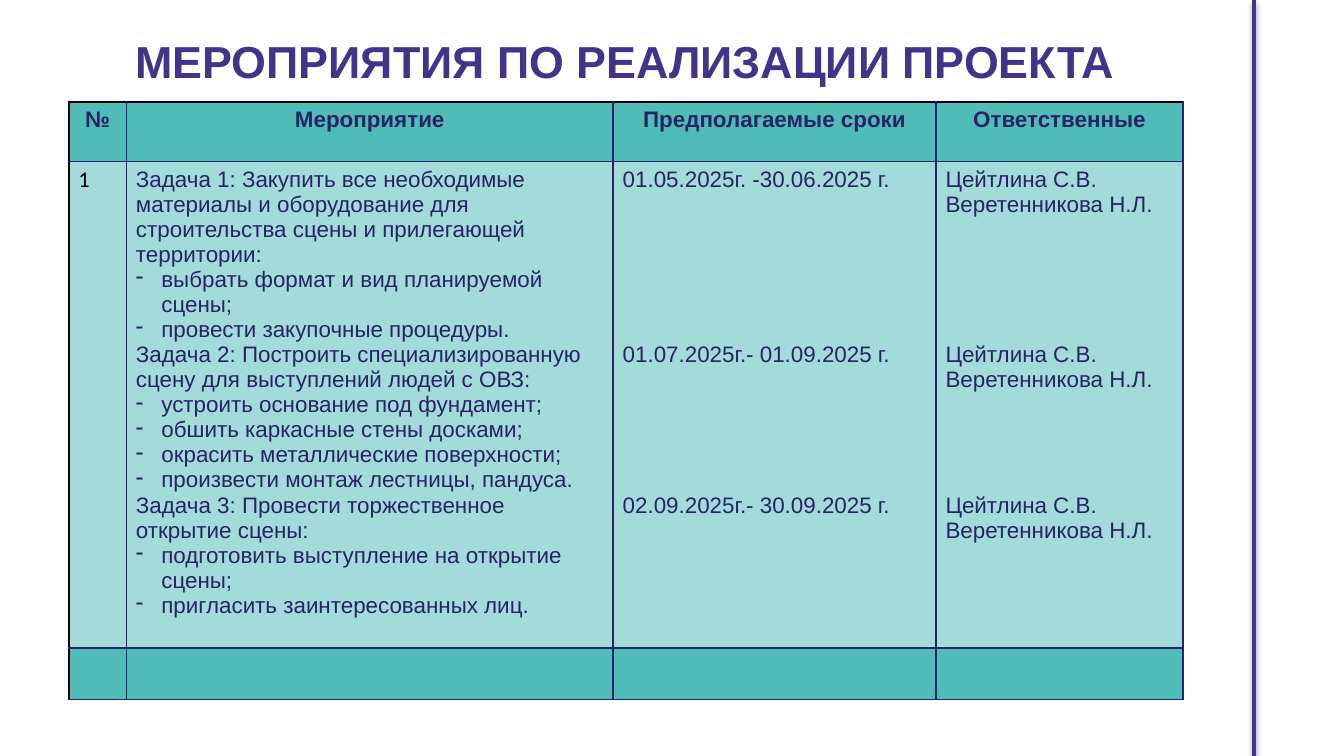
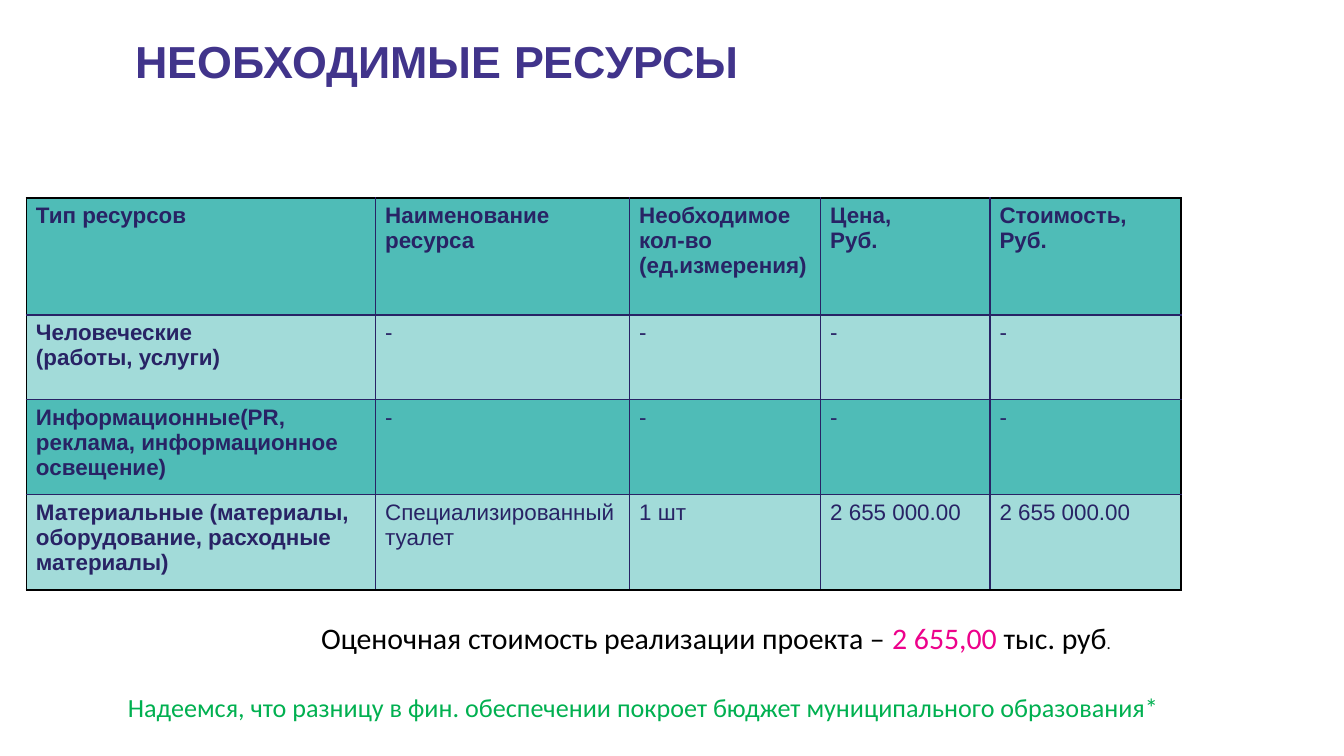
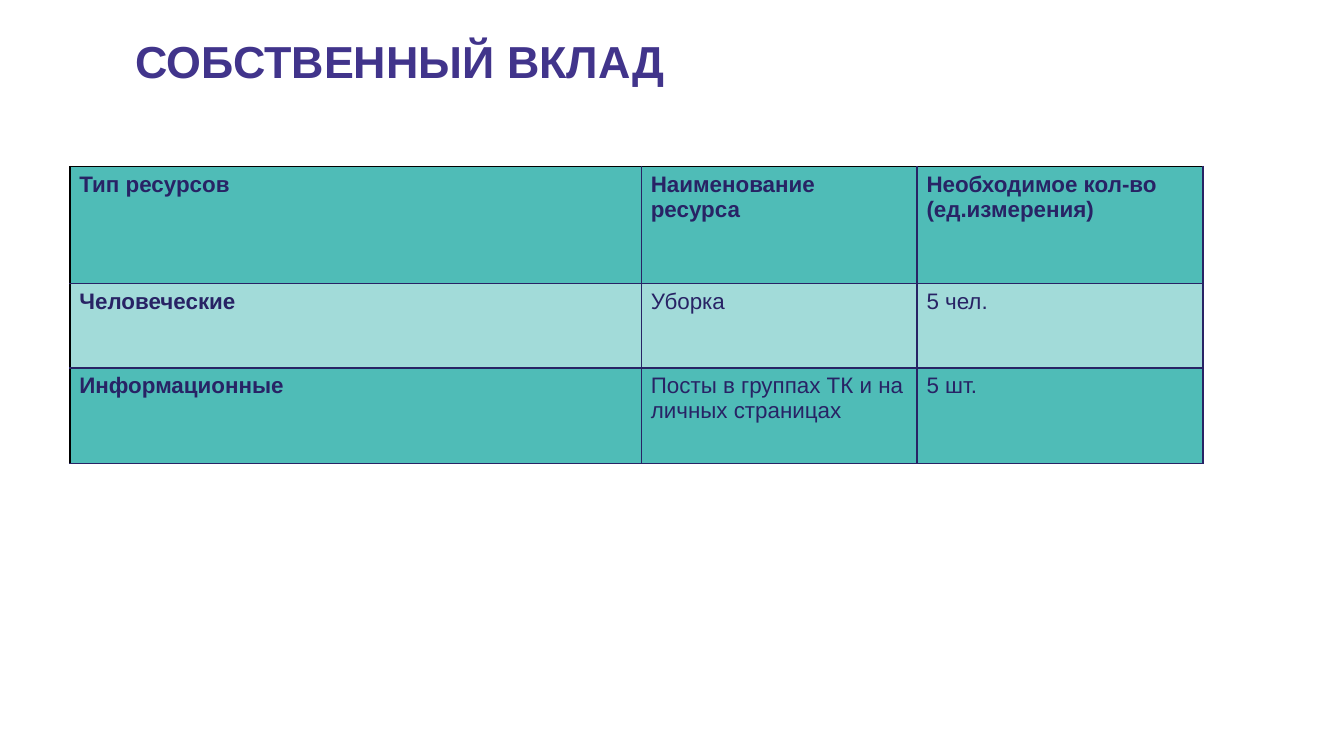
from lxml.etree import SubElement
from pptx import Presentation
from pptx.dml.color import RGBColor
from pptx.enum.shapes import MSO_CONNECTOR as Connector, MSO_SHAPE as Preset
from pptx.enum.text import MSO_ANCHOR as Anchor, MSO_AUTO_SIZE as AutoSize, PP_ALIGN as Align
from pptx.oxml.ns import qn
from pptx.util import Cm, Pt

WHITE = RGBColor(0xFF, 0xFF, 0xFF)
BLACK = RGBColor(0, 0, 0)
VIOLET = RGBColor(0x41, 0x34, 0x8B)
NAVY = RGBColor(0x28, 0x23, 0x65)
TEAL = RGBColor(0x4F, 0xBC, 0xB7)
AQUA = RGBColor(0xA2, 0xDB, 0xD9)
PINK = RGBColor(0xED, 0x01, 0x8B)
GREEN = RGBColor(0x00, 0xB0, 0x50)

TITLE = {"name": "Arial", "size": Pt(24), "bold": True, "color": VIOLET}
BODY = {"name": "Arial", "size": Pt(12), "bold": False, "color": NAVY}
STRONG = {**BODY, "bold": True}
NUMBER = {**BODY, "name": "Calibri", "color": BLACK}
SUMMARY = {"name": "Calibri", "size": Pt(16), "color": BLACK}
NOTE = {"name": "Calibri", "size": Pt(14), "color": GREEN}

LINE_HEIGHT = 13.45
HANG = Cm(0.48)
CELL_MARGINS = {"margin_left": Cm(0.18), "margin_right": Cm(0.18),
                "margin_top": Cm(0.1), "margin_bottom": Cm(0.1)}

TASKS = [
    "Задача 1: Закупить все необходимые материалы и оборудование для "
    "строительства сцены и прилегающей территории:",
    "- выбрать формат и вид планируемой сцены;",
    "- провести закупочные процедуры.",
    "Задача 2: Построить специализированную сцену для выступлений людей с ОВЗ:",
    "- устроить основание под фундамент;",
    "- обшить каркасные стены досками;",
    "- окрасить металлические поверхности;",
    "- произвести монтаж лестницы, пандуса.",
    "Задача 3: Провести торжественное открытие сцены:",
    "- подготовить выступление на открытие сцены;",
    "- пригласить заинтересованных лиц.",
]
TASK_LINES = (7, 6)
DATES = ["01.05.2025г. -30.06.2025 г.", "01.07.2025г.- 01.09.2025 г.",
         "02.09.2025г.- 30.09.2025 г."]
PEOPLE = ["Цейтлина С.В.", "Веретенникова Н.Л."]


def add_span(para, text, style):
    span = para.add_run()
    span.text = text
    for key, value in style.items():
        if key == "color":
            span.font.color.rgb = value
        else:
            setattr(span.font, key, value)


def add_bullet(para):
    properties = para._p.get_or_add_pPr()
    properties.set("marL", str(HANG))
    properties.set("indent", str(-HANG))
    SubElement(properties, qn("a:buChar"), char="-")


def fill_text(frame, lines, style, align=Align.LEFT, gaps=None):
    for index, line in enumerate(lines):
        para = frame.add_paragraph() if index else frame.paragraphs[0]
        if line.startswith("- "):
            add_bullet(para)
            line = line[2:]
        para.alignment = align
        if gaps and index in gaps:
            para.space_before = Pt(round(gaps[index] * LINE_HEIGHT, 1))
        add_span(para, line, style)


def add_borders(cell, black_sides):
    properties = cell._tc.get_or_add_tcPr()
    for side in "LRTB":
        line = SubElement(properties, qn(f"a:ln{side}"), w=str(Pt(1)))
        fill = SubElement(line, qn("a:solidFill"))
        color = BLACK if side in black_sides else NAVY
        SubElement(fill, qn("a:srgbClr"), val=str(color))


def add_grid(page, left, top, columns, heights, black_edges):
    frame = page.shapes.add_table(len(heights), len(columns), Cm(left), Cm(top),
                                  Cm(sum(columns)), Cm(sum(heights)))
    table = frame.table
    for column, width in zip(table.columns, columns):
        column.width = Cm(width)
    for row, height in zip(table.rows, heights):
        row.height = Cm(height)
    for r in range(len(heights)):
        for c in range(len(columns)):
            cell = table.cell(r, c)
            edges = {"L": c == 0, "R": c == len(columns) - 1,
                     "T": r == 0, "B": r == len(heights) - 1}
            add_borders(cell, [side for side in black_edges if edges[side]])
            cell.fill.solid()
            cell.fill.fore_color.rgb = AQUA if r % 2 else TEAL
            for key, value in CELL_MARGINS.items():
                setattr(cell, key, value)
    return table


def fill_resources(table, rows):
    for r, row in enumerate(rows):
        for c, text in enumerate(row):
            style = BODY if r and c else STRONG
            fill_text(table.cell(r, c).text_frame, text.split("\n"), style)


def add_title(page, text, width=16.94):
    box = page.shapes.add_shape(Preset.RECTANGLE, Cm(2.31), Cm(0.43), Cm(width), Cm(1.42))
    box.shadow.inherit = False
    box.fill.solid()
    box.fill.fore_color.rgb = WHITE
    box.line.fill.background()
    box.text_frame.vertical_anchor = Anchor.MIDDLE
    fill_text(box.text_frame, [text], TITLE)


def add_caption(page, left, top, width, height, spans, align=Align.LEFT):
    box = page.shapes.add_textbox(Cm(left), Cm(top), Cm(width), Cm(height))
    box.text_frame.word_wrap = True
    box.text_frame.auto_size = AutoSize.SHAPE_TO_FIT_TEXT
    para = box.text_frame.paragraphs[0]
    para.alignment = align
    for text, style in spans:
        add_span(para, text, style)


def add_side_rule(page, left, height):
    rule = page.shapes.add_connector(Connector.STRAIGHT, Cm(left), 0, Cm(left), height)
    rule.line.color.rgb = VIOLET
    rule.line.width = Pt(2)
    effects = SubElement(rule._element.spPr, qn("a:effectLst"))
    shadow = SubElement(effects, qn("a:outerShdw"), blurRad=str(Pt(3.1)),
                        dist=str(Pt(1.6)), dir="5400000", rotWithShape="0")
    color = SubElement(shadow, qn("a:srgbClr"), val=str(BLACK))
    SubElement(color, qn("a:alpha"), val="38000")


def build_schedule(page, height):
    table = add_grid(page, 1.3, 1.93, [1.09, 9.2, 6.1, 4.67], [1.12, 9.2, 0.96], "LT")
    headers = ["№", "Мероприятие", "Предполагаемые сроки", "Ответственные"]
    for c, header in enumerate(headers):
        fill_text(table.cell(0, c).text_frame, [header], STRONG, Align.CENTER)
    first, second = TASK_LINES
    date_gaps = {1: first - 1, 2: second - 1}
    people_gaps = {2: first - 2, 4: second - 2}
    contents = [(["1"], NUMBER, None), (TASKS, BODY, None),
                (DATES, BODY, date_gaps), (PEOPLE * 3, BODY, people_gaps)]
    for c, (lines, style, gaps) in enumerate(contents):
        fill_text(table.cell(1, c).text_frame, lines, style, gaps=gaps)
    add_title(page, "МЕРОПРИЯТИЯ ПО РЕАЛИЗАЦИИ ПРОЕКТА", 20.57)
    add_side_rule(page, 23.7, height)


def build_resources(page):
    table = add_grid(page, 0.5, 3.74, [6.6, 4.8, 3.61, 3.2, 3.61],
                     [2.21, 1.6, 1.8, 1.8], "LTRB")
    fill_resources(table, [
        ["Тип ресурсов", "Наименование ресурса", "Необходимое кол-во (ед.измерения)",
         "Цена,\nРуб.", "Стоимость,\nРуб."],
        ["Человеческие\n(работы, услуги)"] + ["-"] * 4,
        ["Информационные(PR, реклама, информационное освещение)"] + ["-"] * 4,
        ["Материальные (материалы, оборудование, расходные материалы)",
         "Специализированный туалет", "1 шт", "2 655 000.00", "2 655 000.00"],
    ])
    add_caption(page, 5.82, 11.58, 15.67, 0.94, [
        ("Оценочная стоимость реализации проекта – ", SUMMARY),
        ("2 655,00 ", {**SUMMARY, "color": PINK}),
        ("тыс. руб", SUMMARY),
        (".", {**SUMMARY, "size": Pt(9)}),
    ])
    add_title(page, "НЕОБХОДИМЫЕ РЕСУРСЫ")
    add_caption(page, 2.03, 12.95, 20.27, 0.86, [
        ("Надеемся, что разницу в фин. обеспечении покроет бюджет "
         "муниципального образования*", NOTE),
    ], Align.CENTER)


def build_contribution(page):
    table = add_grid(page, 1.32, 3.15, [10.8, 5.21, 5.41], [2.21, 1.6, 1.8], "LT")
    fill_resources(table, [
        ["Тип ресурсов", "Наименование ресурса", "Необходимое кол-во (ед.измерения)"],
        ["Человеческие", "Уборка", "5 чел."],
        ["Информационные", "Посты в группах ТК и на личных страницах", "5 шт."],
    ])
    add_title(page, "СОБСТВЕННЫЙ ВКЛАД")


def main():
    deck = Presentation()
    deck.slide_width, deck.slide_height = Cm(25.4), Cm(14.29)
    blank = deck.slide_layouts[6]
    build_schedule(deck.slides.add_slide(blank), deck.slide_height)
    build_resources(deck.slides.add_slide(blank))
    build_contribution(deck.slides.add_slide(blank))
    deck.save("out.pptx")


if __name__ == "__main__":
    main()
